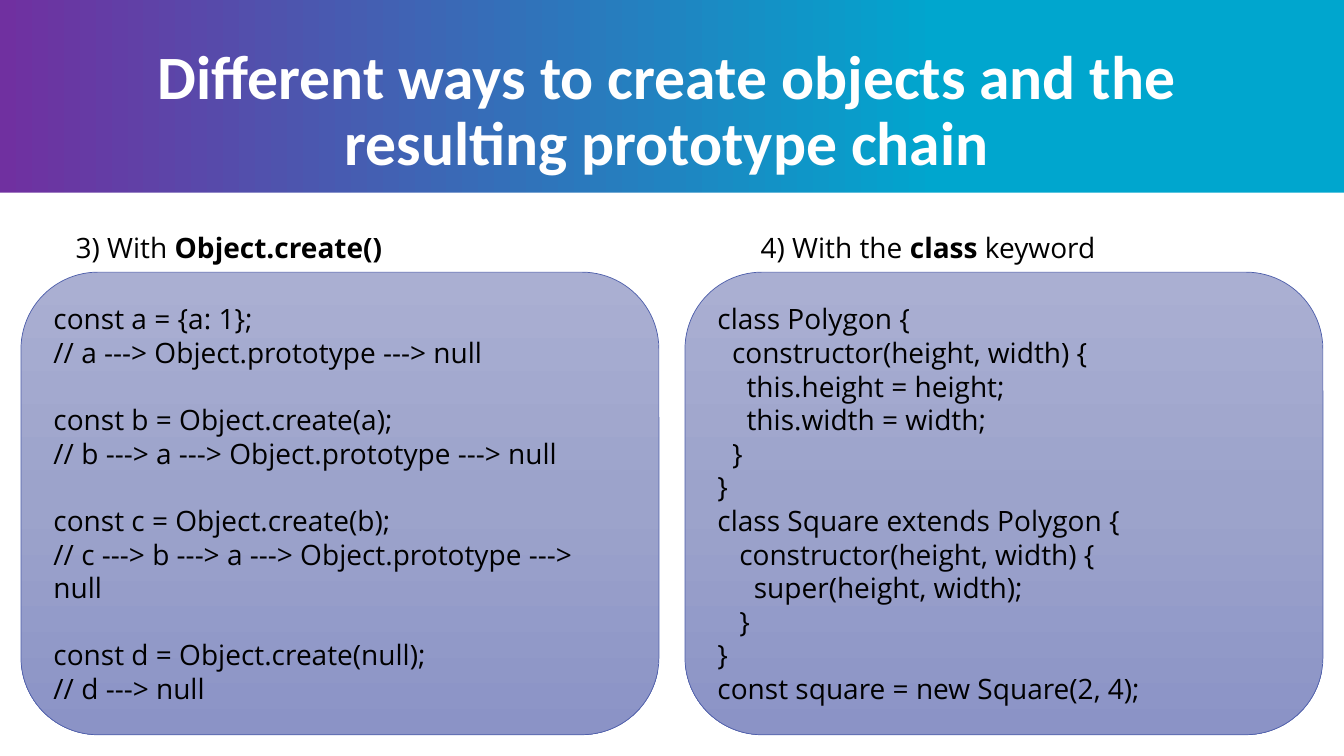
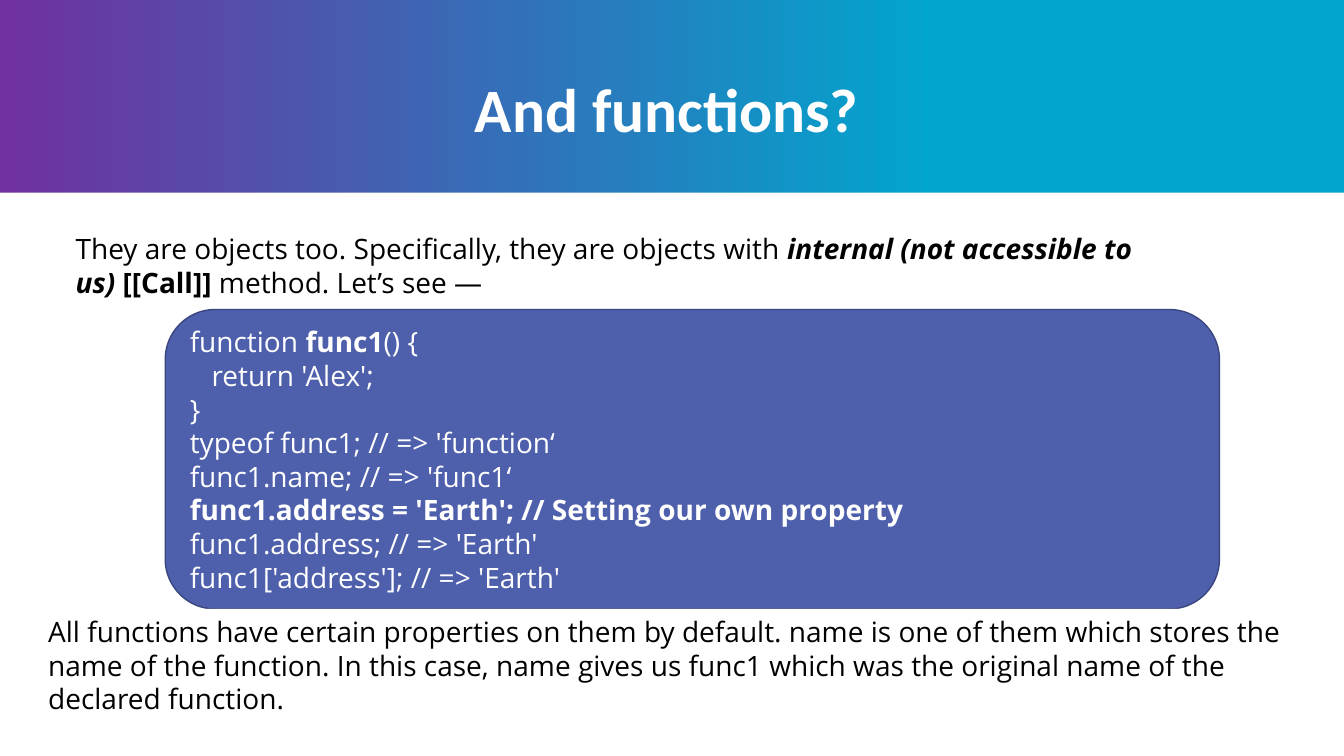
from dataclasses import dataclass
from typing import NamedTuple

from lxml.etree import SubElement
from pptx import Presentation
from pptx.dml.color import RGBColor
from pptx.enum.shapes import MSO_SHAPE as Preset
from pptx.enum.text import MSO_ANCHOR as Anchor, PP_ALIGN as Align
from pptx.oxml.ns import qn
from pptx.util import Inches, Pt

COLS, ROWS = 64, 36
CELL = 7.5 / ROWS


@dataclass(frozen=True)
class Theme:
    heading_font: str = "Calibri"
    body_font: str = "Open Sans"
    title_size: int = 44
    body_size: int = 20
    blank_line: int = 24
    space_width: float = 5.2
    ink: str = "000000"
    paper: str = "FFFFFF"
    code_fill: str = "4E5FAB"
    code_line: str = "3A467F"
    banner: tuple = ((0, "00A6CE"), (30, "00A6CE"), (100, "7030A0"))
    panel: tuple = ((0, "AAAFD2"), (50, "9CA3CB"), (100, "8B93C6"))


THEME = Theme()


class Box(NamedTuple):
    left: float
    top: float
    width: float
    height: float

    def lengths(self):
        return [Inches(cells * CELL) for cells in self]


def color(value):
    return RGBColor.from_string(value)


def set_gradient(fill, owner, stops, angle):
    fill.gradient()
    fill.gradient_angle = angle
    stop_list = owner.find(".//" + qn("a:gsLst"))
    for stop in list(stop_list):
        stop_list.remove(stop)
    for percent, value in stops:
        stop = SubElement(stop_list, qn("a:gs"), pos=str(percent * 1000))
        SubElement(stop, qn("a:srgbClr"), val=value)


def write_text(frame, lines, *, font=THEME.body_font, size=THEME.body_size,
               ink=THEME.ink, bold=False, align=Align.LEFT, anchor=Anchor.TOP,
               spacing=None, left_inset=0.1):
    frame.word_wrap = True
    frame.vertical_anchor = anchor
    frame.margin_left = Inches(left_inset)
    paragraph, gap = None, 0
    for line in lines:
        if not line:
            gap = THEME.blank_line
            continue
        runs = [(line, "")] if isinstance(line, str) else line
        paragraph = frame.add_paragraph() if paragraph else frame.paragraphs[0]
        paragraph.alignment = align
        paragraph.line_spacing = spacing
        paragraph.space_before, gap = Pt(gap), 0
        first = runs[0][0]
        indent = len(first) - len(first.lstrip(" "))
        if indent:
            properties = paragraph._p.get_or_add_pPr()
            properties.set("marL", str(Pt(indent * THEME.space_width)))
            properties.set("indent", "0")
        for index, (words, style) in enumerate(runs):
            run = paragraph.add_run()
            run.text = words if index else words.lstrip(" ")
            run.font.name, run.font.size = font, Pt(size)
            run.font.bold = bold or "b" in style
            run.font.italic = "i" in style
            run.font.color.rgb = color(ink)


def add_text(slide, box, lines, **style):
    area = slide.shapes.add_textbox(*box.lengths())
    write_text(area.text_frame, lines, **style)


def add_block(slide, box, preset, fill, line=None, weight=1):
    block = slide.shapes.add_shape(preset, *box.lengths())
    block.shadow.inherit = False
    if isinstance(fill, str):
        block.fill.solid()
        block.fill.fore_color.rgb = color(fill)
    else:
        set_gradient(block.fill, block._element, fill, 270)
    if line:
        block.line.color.rgb = color(line)
        block.line.width = Pt(weight)
    else:
        block.line.fill.background()
    return block


def titled_slide(deck, title):
    slide = deck.slides.add_slide(deck.slide_layouts[6])
    add_block(slide, Box(0, 9.17, COLS, ROWS - 9.17), Preset.RECTANGLE, THEME.paper)
    add_text(slide, Box(3.6, 1.92, 56.8, 6.86), [title], font=THEME.heading_font,
             size=THEME.title_size, ink=THEME.paper, bold=True,
             align=Align.CENTER, anchor=Anchor.MIDDLE, spacing=0.9, left_inset=0)
    return slide


def captioned_code(slide, box, caption, caption_indent, code):
    add_text(slide, Box(box.left + caption_indent, box.top - 2.2,
                        box.width - caption_indent, 2.1), [caption], left_inset=0)
    panel = add_block(slide, box, Preset.ROUNDED_RECTANGLE, THEME.panel,
                      THEME.code_fill, 0.5)
    write_text(panel.text_frame, code, anchor=Anchor.MIDDLE)


def prototype_chain_slide(deck):
    slide = titled_slide(
        deck, "Different ways to create objects and the resulting prototype chain")
    examples = [
        ([("3) With ", ""), ("Object.create()", "b")], 2.6, [
            "const a = {a: 1};",
            "// a ---> Object.prototype ---> null",
            "",
            "const b = Object.create(a);",
            "// b ---> a ---> Object.prototype ---> null",
            "",
            "const c = Object.create(b);",
            "// c ---> b ---> a ---> Object.prototype ---> null",
            "",
            "const d = Object.create(null);",
            "// d ---> null",
        ]),
        ([("4) With the ", ""), ("class ", "b"), ("keyword", "")], 3.6, [
            "class Polygon {",
            "  constructor(height, width) {",
            "    this.height = height;",
            "    this.width = width;",
            "  }",
            "}",
            "class Square extends Polygon {",
            "   constructor(height, width) {",
            "     super(height, width);",
            "   }",
            "}",
            "const square = new Square(2, 4);",
        ]),
    ]
    margin, gap = 1, 1.24
    width = (COLS - 2 * margin - gap) / len(examples)
    for column, (caption, indent, code) in enumerate(examples):
        box = Box(margin + column * (width + gap), 12.96, width, 22.03)
        captioned_code(slide, box, caption, indent, code)


def functions_slide(deck):
    slide = titled_slide(deck, "And functions?")
    add_text(slide, Box(3.6, 10.8, 56.8, 3.8), [[
        ("They are objects too. Specifically, they are objects with ", ""),
        ("internal (not accessible to us)\u00a0", "bi"),
        ("[[Call]]", "b"),
        ("\u00a0method. Let’s see —", ""),
    ]], left_inset=0)
    code = add_block(slide, Box(7.87, 14.74, 50.2, 14.26), Preset.ROUNDED_RECTANGLE,
                     THEME.code_fill, THEME.code_line)
    write_text(code.text_frame, [
        [("function ", ""), ("func1", "b"), ("() {", "")],
        "   return 'Alex';",
        "}",
        "typeof func1; // => 'function‘",
        "func1.name; // => 'func1‘",
        [("func1.address = 'Earth'; // Setting our own property", "b")],
        "func1.address; // => 'Earth'",
        "func1['address']; // => 'Earth'",
    ], ink=THEME.paper, anchor=Anchor.MIDDLE)
    note = add_block(slide, Box(1.82, 29, 60.38, 5.33), Preset.RECTANGLE, THEME.paper)
    write_text(note.text_frame, [
        "All functions have certain properties on them by default. name is one of "
        "them which stores the name of the function. In this case, name gives us "
        "func1 which was the original name of the declared function.",
    ], anchor=Anchor.MIDDLE)


def main():
    deck = Presentation()
    deck.slide_width, deck.slide_height = Inches(COLS * CELL), Inches(ROWS * CELL)
    master = deck.slide_master
    set_gradient(master.background.fill, master._element, THEME.banner, 180)
    prototype_chain_slide(deck)
    functions_slide(deck)
    deck.save("out.pptx")


if __name__ == "__main__":
    main()
